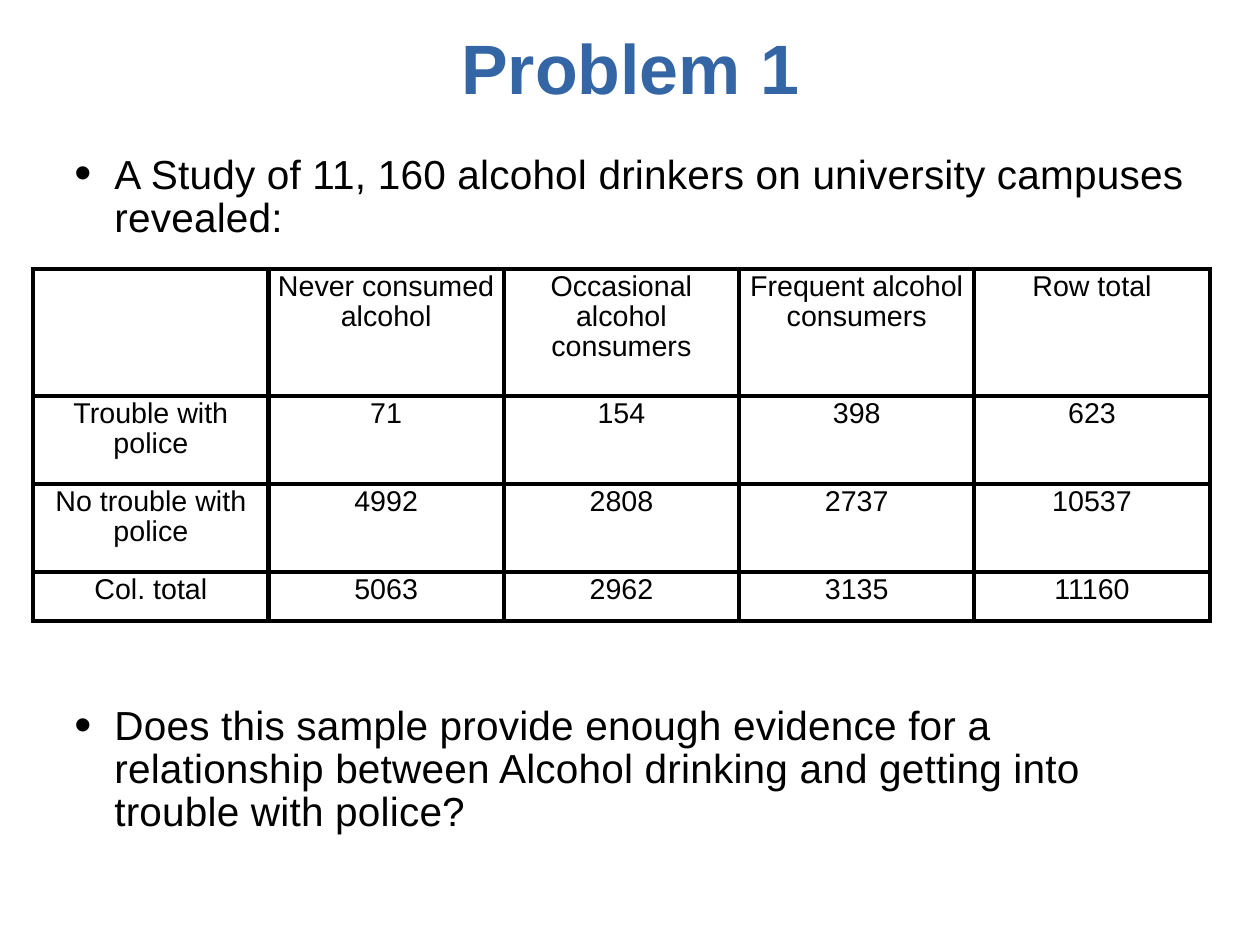
import pptx
import pptx.dml.color
import pptx.enum.text
import pptx.oxml
import pptx.oxml.ns
import pptx.util
from pptx.util import Inches

COLORS = {"title": "3465A4", "ink": "000000"}
FONT = "Arial"
COUNTS = [
    ["", "Never consumed alcohol", "Occasional alcohol consumers",
     "Frequent alcohol consumers", "Row total"],
    ["Trouble with police", "71", "154", "398", "623"],
    ["No trouble with police", "4992", "2808", "2737", "10537"],
    ["Col. total", "5063", "2962", "3135", "11160"],
]
ROW_HEIGHTS = [1.11, 0.77, 0.77, 0.43]
COLUMN_WIDTH = 2.056


def format_text(paragraph, size, color, bold=False):
    font = paragraph.font
    font.name = FONT
    font.size = pptx.util.Pt(size)
    font.bold = bold
    font.color.rgb = pptx.dml.color.RGBColor.from_string(COLORS[color])


def add_text(slide, text, left, top, width, height, inset):
    frame = slide.shapes.add_textbox(
        Inches(left), Inches(top), Inches(width), Inches(height)).text_frame
    frame.word_wrap = True
    frame.margin_left = frame.margin_right = frame.margin_bottom = 0
    frame.margin_top = Inches(inset)
    frame.text = text
    return frame.paragraphs[0]


def add_title(slide, text):
    title = add_text(slide, text, 3.51, 0.21, 4, 0.76, 0.01)
    title.alignment = pptx.enum.text.PP_ALIGN.CENTER
    format_text(title, 44, "title", bold=True)


def add_bullet(slide, text, top, width, height):
    point = add_text(slide, text, 0.65, top, width, height, 0.07)
    point.line_spacing = pptx.util.Pt(27)
    properties = point._p.get_or_add_pPr()
    properties.set("marL", str(Inches(0.35)))
    properties.set("indent", str(-Inches(0.35)))
    for tag, attribute, value in (("a:buSzPct", "val", "120000"),
                                  ("a:buFont", "typeface", FONT),
                                  ("a:buChar", "char", "•")):
        element = pptx.oxml.xmlchemy.OxmlElement(tag)
        element.set(attribute, value)
        properties.append(element)
    format_text(point, 25.5, "ink")
    for run in point.runs:
        run._r.get_or_add_rPr().set("spc", "10")


def add_borders(cell):
    properties = cell._tc.get_or_add_tcPr()
    for position, side in enumerate(("lnL", "lnR", "lnT", "lnB")):
        border = pptx.oxml.parse_xml(
            f'<a:{side} {pptx.oxml.ns.nsdecls("a")} w="{pptx.util.Pt(3)}">'
            f'<a:solidFill><a:srgbClr val="{COLORS["ink"]}"/></a:solidFill>'
            f'</a:{side}>')
        properties.insert(position, border)


def fill_cell(cell, text):
    cell.margin_left = cell.margin_right = Inches(0.04)
    cell.margin_top, cell.margin_bottom = Inches(0.03), 0
    cell.fill.background()
    cell.text_frame.text = text
    entry = cell.text_frame.paragraphs[0]
    entry.alignment = pptx.enum.text.PP_ALIGN.CENTER
    entry.line_spacing = pptx.util.Pt(19)
    format_text(entry, 18, "ink")
    add_borders(cell)


def add_counts(slide):
    table = slide.shapes.add_table(
        len(COUNTS), len(COUNTS[0]), Inches(0.29), Inches(2.35),
        Inches(COLUMN_WIDTH * len(COUNTS[0])), Inches(sum(ROW_HEIGHTS))).table
    table.first_row = table.horz_banding = False
    for column in table.columns:
        column.width = Inches(COLUMN_WIDTH)
    for row, height, entries in zip(table.rows, ROW_HEIGHTS, COUNTS):
        row.height = Inches(height)
        for cell, text in zip(row.cells, entries):
            fill_cell(cell, text)


def main():
    deck = pptx.Presentation()
    deck.slide_width, deck.slide_height = Inches(11.01), Inches(8.26)
    slide = deck.slides.add_slide(deck.slide_layouts[6])
    add_title(slide, "Problem 1")
    add_bullet(slide, "A Study of 11, 160 alcohol drinkers on university "
               "campuses revealed:", 1.28, 9.85, 0.83)
    add_counts(slide)
    add_bullet(slide, "Does this sample provide enough evidence for a "
               "relationship between Alcohol drinking and getting into "
               "trouble with police?", 6.1, 8.9, 1.21)
    deck.save("out.pptx")


if __name__ == "__main__":
    main()
